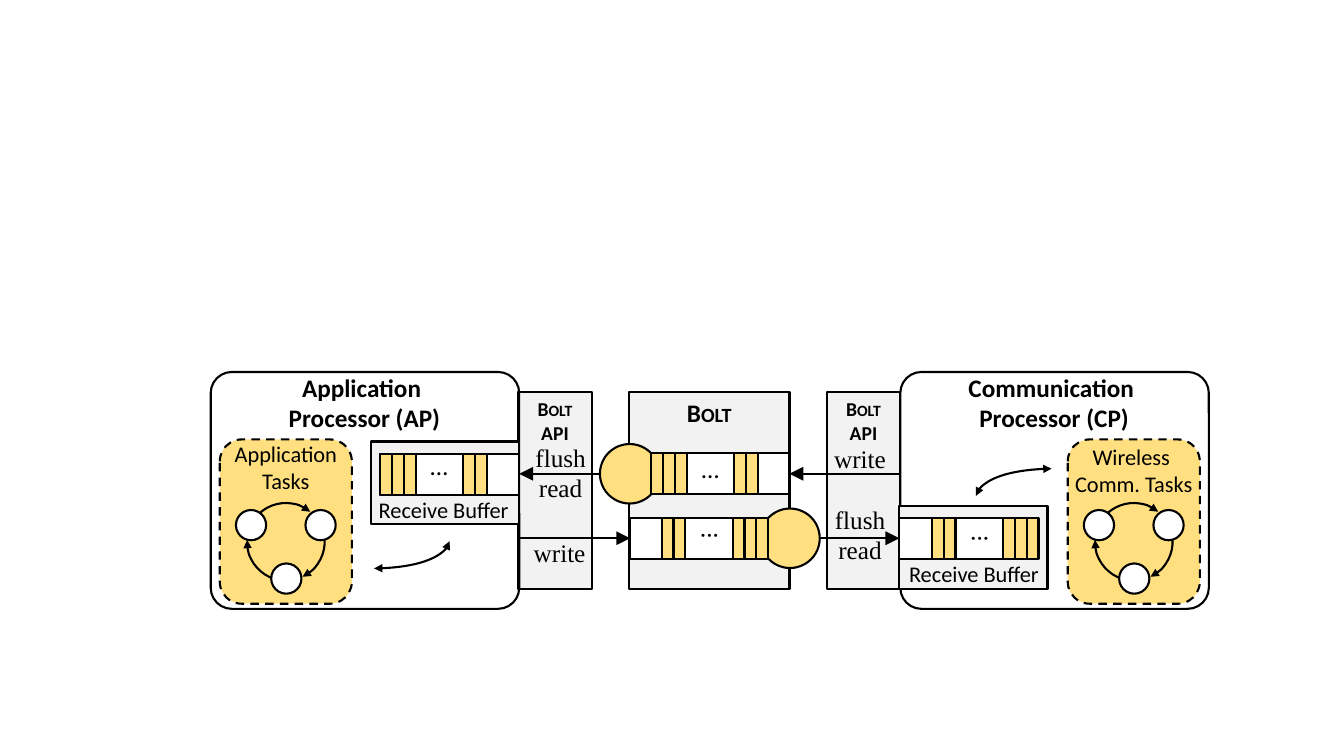
import pptx
import pptx.dml.color
import pptx.enum.dml
import pptx.enum.shapes
import pptx.enum.text
import pptx.oxml.ns
import pptx.util
from lxml import etree

SHAPE = pptx.enum.shapes.MSO_SHAPE
CONNECTOR = pptx.enum.shapes.MSO_CONNECTOR
ALIGN = pptx.enum.text.PP_ALIGN
qn = pptx.oxml.ns.qn
inch = pptx.util.Inches

BLACK, WHITE, GREY, YELLOW = "000000", "FFFFFF", "F2F2F2", "FFDF7F"
SANS, SERIF = "Calibri", "Times New Roman"
CELL_W = 0.1175            # width of one message slot in a queue
QUEUE_H = 0.41
MESSAGE_SLOTS = (0, 1, 2, 7, 8)
READ_Y, WRITE_Y = 4.7, 5.34  # axes of the two queues


def color(hex_string):
    return pptx.dml.color.RGBColor.from_string(hex_string)


def style_line(sp, head=False, tail=False, dash=False, arrow_size="med"):
    sp.line.color.rgb = color(BLACK)
    sp.line.width = pptx.util.Pt(1.5)
    if dash:
        sp.line.dash_style = pptx.enum.dml.MSO_LINE.DASH
    ln = sp.line._get_or_add_ln()
    for tag, wanted in (("a:headEnd", head), ("a:tailEnd", tail)):
        if wanted:
            etree.SubElement(ln, qn(tag), type="triangle",
                             w=arrow_size, len=arrow_size)


def shape(s, kind, x, y, w, h, fill=None, rot=0, **line):
    sp = s.shapes.add_shape(kind, inch(x), inch(y), inch(w), inch(h))
    sp.shadow.inherit = False
    sp.rotation = rot
    if fill:
        sp.fill.solid()
        sp.fill.fore_color.rgb = color(fill)
    else:
        sp.fill.background()
    style_line(sp, **line)
    return sp


def connector(s, kind, start, end, **line):
    sp = s.shapes.add_connector(kind, *map(inch, start + end))
    style_line(sp, tail=True, **line)
    sp_pr = sp._element.spPr
    etree.SubElement(sp_pr, qn("a:effectLst"))
    if kind == CONNECTOR.CURVE:
        sp_pr.find(qn("a:prstGeom")).set("prst", "curvedConnector2")


def format_run(r, size, font=SANS, bold=False, small=False):
    r.font.size = pptx.util.Pt(size)
    r.font.name = font
    r.font.bold = bold
    r.font.color.rgb = color(BLACK)
    if small:
        r._r.get_or_add_rPr().set("cap", "small")


def write(tf, words, align=ALIGN.CENTER, **font):
    tf.text = words
    tf.vertical_anchor = pptx.enum.text.MSO_ANCHOR.TOP
    for p in tf.paragraphs:
        p.alignment = align
        for r in p.runs:
            format_run(r, **font)


def label(s, words, x, y, w, h, rot=0, **text_format):
    sp = s.shapes.add_textbox(inch(x), inch(y), inch(w), inch(h))
    sp.rotation = rot
    tf = sp.text_frame
    write(tf, words, **text_format)
    tf.word_wrap = False
    tf.auto_size = pptx.enum.text.MSO_AUTO_SIZE.SHAPE_TO_FIT_TEXT


def bolt_panel(s, x, y, w, h, size, suffix=""):
    """Grey panel headed by the name in small capitals."""
    tf = shape(s, SHAPE.RECTANGLE, x, y, w, h, GREY).text_frame
    tf.word_wrap = True
    write(tf, "Bolt", size=size, bold=True, small=True)
    if suffix:
        r = tf.paragraphs[0].add_run()
        r.text = suffix
        format_run(r, size, bold=True)


def queue(s, x, y, w, dots_dy, mirrored=False, server=False):
    """Message queue; a mirrored one fills from its right end."""
    shape(s, SHAPE.RECTANGLE, x, y, w, QUEUE_H, WHITE)
    if server:
        d = 0.59
        left = x + w - 0.08 if mirrored else x + 0.08 - d
        shape(s, SHAPE.OVAL, left, y + (QUEUE_H - d) / 2, d, d, YELLOW)
    for slot in MESSAGE_SLOTS:
        dx = w - (slot + 1) * CELL_W if mirrored else slot * CELL_W
        shape(s, SHAPE.RECTANGLE, x + dx, y, CELL_W, QUEUE_H, YELLOW)
    dots_w = 0.38
    dots_x = x + w - 0.4 - dots_w if mirrored else x + 0.4
    label(s, "…", dots_x, y + dots_dy, dots_w, 0.4,
          rot=180 if mirrored else 0, align=ALIGN.LEFT, size=18)


def receive_buffer(s, x, y, mirrored):
    shape(s, SHAPE.RECTANGLE, x, y, 1.47, 0.82, GREY)
    queue(s, x if mirrored else x + 0.09, y + 0.12, 1.38,
          0.09 if mirrored else -0.08, mirrored)
    label(s, "Receive Buffer", x - (0.02 if mirrored else 0.04), y + 0.49,
          1.52, 0.37, size=16)


def task_cycle(s, x, y, words, label_dy):
    """Dashed box with three tasks that call each other in turn."""
    shape(s, SHAPE.ROUNDED_RECTANGLE, x, y, 1.31, 1.63, YELLOW, dash=True)
    for rot in (309.2, 182.9, 64.5):
        shape(s, SHAPE.ARC, x + 0.27, y + 0.63, 0.77, 0.77, rot=rot, tail=True)
    for dx, dy in ((0.16, 0.7), (0.51, 1.23), (0.85, 0.7)):
        shape(s, SHAPE.OVAL, x + dx, y + dy, 0.3, 0.3, WHITE)
    # The label box is wider than the dashed box, so its lines never wrap
    label(s, words, x - 0.1, y + label_dy, 1.51, 0.64, size=16)


def processor(s, x, y, title, tasks, tasks_dx, label_dy, buffer_at, mirrored):
    frame = shape(s, SHAPE.ROUNDED_RECTANGLE, x, y, 3.06, 2.35)
    frame.adjustments[0] = 0.089
    receive_buffer(s, x + buffer_at[0], y + buffer_at[1], mirrored)
    task_cycle(s, x + tasks_dx, y + 0.67, tasks, label_dy)
    label(s, title, x + 0.57, y - 0.05, 1.91, 0.71, size=18, bold=True)


def interconnect(s, x, y, w, h):
    """Central panel with one queue per direction."""
    bolt_panel(s, x, y, w, h, 18)
    queue(s, x + w - 1.37, READ_Y - QUEUE_H / 2, 1.37, -0.05, server=True)
    queue(s, x + 0.01, WRITE_Y - QUEUE_H / 2, 1.37, 0.07, True, server=True)


def links(s):
    """Arrows and operation names between processors and queues."""
    for start, end in (((5.95, READ_Y), (5.15, READ_Y)),
                       ((8.93, READ_Y), (7.83, READ_Y)),
                       ((5.16, WRITE_Y), (6.25, WRITE_Y)),
                       ((8.13, WRITE_Y), (8.92, WRITE_Y))):
        connector(s, CONNECTOR.STRAIGHT, start, end, arrow_size="lg")
    for words, x, y, h in (("flush\nread", 5.2, 4.34, 0.71),
                           ("write", 5.19, 5.28, 0.4),
                           ("flush\nread", 8.17, 4.95, 0.71),
                           ("write", 8.17, 4.35, 0.4)):
        label(s, words, x, y, 0.72, h, size=18, font=SERIF)
    # Tasks to receive buffers
    connector(s, CONNECTOR.CURVE, (3.71, 5.64), (4.46, 5.37), head=True)
    connector(s, CONNECTOR.CURVE, (10.43, 4.65), (9.68, 4.92), head=True)


def main():
    prs = pptx.Presentation()
    prs.slide_width, prs.slide_height = inch(13.33), inch(7.5)
    s = prs.slides.add_slide(prs.slide_layouts[6])
    interconnect(s, 6.24, 3.89, 1.59, 1.95)
    for x in (5.14, 8.2):
        bolt_panel(s, x, 3.89, 0.73, 1.95, 14, " API")
    processor(s, 2.09, 3.69, "Application \vProcessor (AP)",
              "Application\vTasks", 0.09, -0.04, (1.59, 0.69), False)
    processor(s, 8.93, 3.69, "Communication \vProcessor (CP)",
              "Wireless \vComm. Tasks", 1.66, -0.01, (-0.01, 1.33), True)
    links(s)
    prs.save("out.pptx")


if __name__ == "__main__":
    main()
